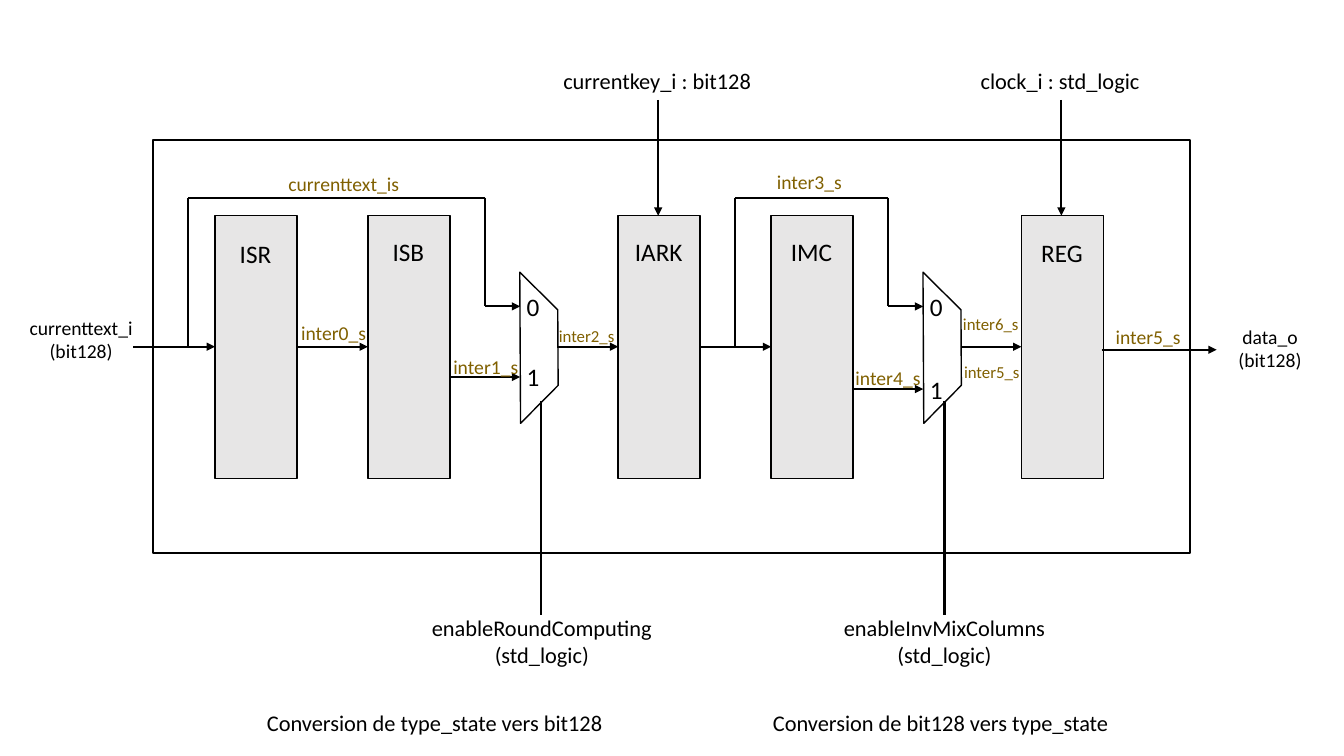
from dataclasses import dataclass

from lxml import etree
from pptx import Presentation
from pptx import util as u
from pptx.dml.color import RGBColor
from pptx.enum import shapes, text
from pptx.oxml.ns import qn


@dataclass(frozen=True)
class Theme:
    """Colours, font, type sizes and line widths of the diagram."""
    ink: str = "000000"
    signal: str = "806000"
    block: str = "E7E6E6"
    paper: str = "FFFFFF"
    font: str = "Calibri"
    title: int = 18
    port: int = 16
    label: int = 14
    small: int = 12
    wire: float = 1.5
    outline: float = 1


THEME = Theme()
WIDTH, HEIGHT = u.Inches(13.333), u.Inches(7.5)
COLUMNS = 40
CELL = WIDTH / COLUMNS
STAGE_PITCH = 12
BLOCK_TOP, BLOCK_WIDTH, BLOCK_HEIGHT = 6.42, 2.44, 7.83
BLOCK_LEFTS = (6.4, 10.95)
BUS_ROW, UPPER_ROW, BYPASS_ROW = 10.32, 9.12, 5.88
MUX_LEFT, MUX_TOP, MUX_SIZE, MUX_ANGLE = 13.89, 8.76, 3.18, 134.7
MUX_INPUT, MUX_OUTPUT, MUX_SELECT = 15.48, 16.59, 16.11
LEFT, CENTER = text.PP_ALIGN.LEFT, text.PP_ALIGN.CENTER


def cells(*counts):
    """Convert grid counts to slide lengths."""
    return [u.Emu(round(count * CELL)) for count in counts]


def add_box(slide, kind, bounds, fill, width):
    """Add an outlined preset shape, hollow when fill is None."""
    shape = slide.shapes.add_shape(kind, *cells(*bounds))
    shape.shadow.inherit = False
    if fill:
        shape.fill.solid()
        shape.fill.fore_color.rgb = RGBColor.from_string(fill)
    else:
        shape.fill.background()
    shape.line.color.rgb = RGBColor.from_string(THEME.ink)
    shape.line.width = u.Pt(width)
    return shape


def add_wire(slide, start, end, arrow=True):
    """Add a straight wire between two grid points."""
    wire = slide.shapes.add_connector(
        shapes.MSO_CONNECTOR.STRAIGHT, *cells(*start, *end))
    wire.line.color.rgb = RGBColor.from_string(THEME.ink)
    wire.line.width = u.Pt(THEME.wire)
    if arrow:
        line = wire.line._get_or_add_ln()
        etree.SubElement(line, qn("a:tailEnd"), type="triangle")
    etree.SubElement(wire._element.spPr, qn("a:effectLst"))


def add_label(slide, wording, left, top, width, size,
              color=THEME.ink, align=LEFT):
    """Add an unwrapped text label."""
    lines = wording.count("\n") + 1
    shape = slide.shapes.add_textbox(
        *cells(left, top, width), u.Inches(0.1) + u.Pt(1.2 * size * lines))
    frame = shape.text_frame
    frame.text = wording
    frame.word_wrap = False
    frame.auto_size = text.MSO_AUTO_SIZE.SHAPE_TO_FIT_TEXT
    for paragraph in frame.paragraphs:
        paragraph.alignment = align
        for run in paragraph.runs:
            run.font.name = THEME.font
            run.font.size = u.Pt(size)
            run.font.color.rgb = RGBColor.from_string(color)


def add_block(slide, name, left, title_top, title_width):
    """Add a named processing block."""
    add_box(slide, shapes.MSO_SHAPE.RECTANGLE,
            (left, BLOCK_TOP, BLOCK_WIDTH, BLOCK_HEIGHT),
            THEME.block, THEME.outline)
    add_label(slide, name, left + (BLOCK_WIDTH - title_width) / 2,
              title_top, title_width, THEME.title)


def add_stage(slide, offset, blocks, tap, lower_row):
    """Add two blocks, their bypass and the multiplexer that follows."""
    first, second = (left + offset for left in BLOCK_LEFTS)
    for left, block in zip((first, second), blocks):
        add_block(slide, block[0], left, *block[1:])
    mux = add_box(slide, shapes.MSO_SHAPE.DIAGONAL_STRIPE,
                  (MUX_LEFT + offset, MUX_TOP, MUX_SIZE, MUX_SIZE),
                  THEME.paper, THEME.outline)
    mux.rotation = MUX_ANGLE
    entry, leave, select = (
        column + offset for column in (MUX_INPUT, MUX_OUTPUT, MUX_SELECT))
    corner = entry - 1.05
    add_wire(slide, (first + BLOCK_WIDTH, BUS_ROW), (second, BUS_ROW))
    add_wire(slide, (second + BLOCK_WIDTH, lower_row), (entry, lower_row))
    add_wire(slide, (leave, BUS_ROW), (first + STAGE_PITCH, BUS_ROW))
    add_wire(slide, (tap, BUS_ROW), (tap, BYPASS_ROW), False)
    add_wire(slide, (tap, BYPASS_ROW), (corner, BYPASS_ROW), False)
    add_wire(slide, (corner, BYPASS_ROW), (corner, UPPER_ROW), False)
    add_wire(slide, (corner, UPPER_ROW), (entry, UPPER_ROW))
    add_wire(slide, (select, 11.94), (select, 18.3), False)
    for digit, row in (("0", UPPER_ROW), ("1", lower_row)):
        add_label(slide, digit, entry - 0.1, row - 0.6, 0.99, THEME.title)


def add_ports(slide):
    """Add the outer frame with its external wires and labels."""
    add_box(slide, shapes.MSO_SHAPE.RECTANGLE, (4.56, 4.17, 30.87, 12.3),
            None, THEME.wire)
    add_wire(slide, (3.96, BUS_ROW), (BLOCK_LEFTS[0], BUS_ROW))
    add_wire(slide, (32.79, 10.41), (36.21, 10.41))
    for column in (19.59, 31.59):
        add_wire(slide, (column, 2.97), (column, BLOCK_TOP))
    for wording, *place in (
            ("currentkey_i : bit128", 16.47, 1.86, 6.27),
            ("clock_i : std_logic", 28.89, 1.86, 5.4),
            ("Conversion de type_state vers bit128", 7.65, 20.97, 10.74),
            ("Conversion de bit128 vers type_state", 22.71, 20.97, 10.74)):
        add_label(slide, wording, *place, THEME.port)
    for wording, *place in (
            ("enableRoundComputing\n(std_logic)", 12.51, 18.12, 7.23, THEME.port),
            ("enableInvMixColumns\n(std_logic)", 24.78, 18.12, 6.66, THEME.port),
            ("currenttext_i\n(bit128)", 0.42, 9.24, 3.99, THEME.label),
            ("data_o\n(bit128)", 36.54, 9.51, 2.52, THEME.label)):
        add_label(slide, wording, *place, align=CENTER)


def add_signals(slide):
    """Add the names of the internal signals."""
    for wording, *place in (
            ("currenttext_is", 8.25, 4.98, 3.96, THEME.label),
            ("inter0_s", 8.64, 9.39, 2.58, THEME.label),
            ("inter1_s", 13.17, 10.41, 2.58, THEME.label),
            ("inter2_s", 16.32, 9.54, 2.28, THEME.small),
            ("inter3_s", 22.8, 4.92, 2.58, THEME.label),
            ("inter4_s", 25.14, 10.74, 2.58, THEME.label),
            ("inter6_s", 28.35, 9.18, 2.28, THEME.small),
            ("inter5_s", 28.38, 10.62, 2.28, THEME.small),
            ("inter5_s", 32.88, 9.51, 2.58, THEME.label)):
        add_label(slide, wording, *place, THEME.signal, CENTER)


def main():
    """Build the slide and save it."""
    presentation = Presentation()
    presentation.slide_width, presentation.slide_height = WIDTH, HEIGHT
    slide = presentation.slides.add_slide(presentation.slide_layouts[6])
    add_stage(slide, 0, (("ISR", 6.96, 1.56), ("ISB", 6.9, 1.56)), 5.6, 11.22)
    add_stage(slide, STAGE_PITCH,
              (("IARK", 6.9, 2.04), ("IMC", 6.9, 1.86)), 21.87, 11.58)
    add_block(slide, "REG", BLOCK_LEFTS[0] + 2 * STAGE_PITCH, 6.93, 1.86)
    add_ports(slide)
    add_signals(slide)
    presentation.save("out.pptx")


if __name__ == "__main__":
    main()
